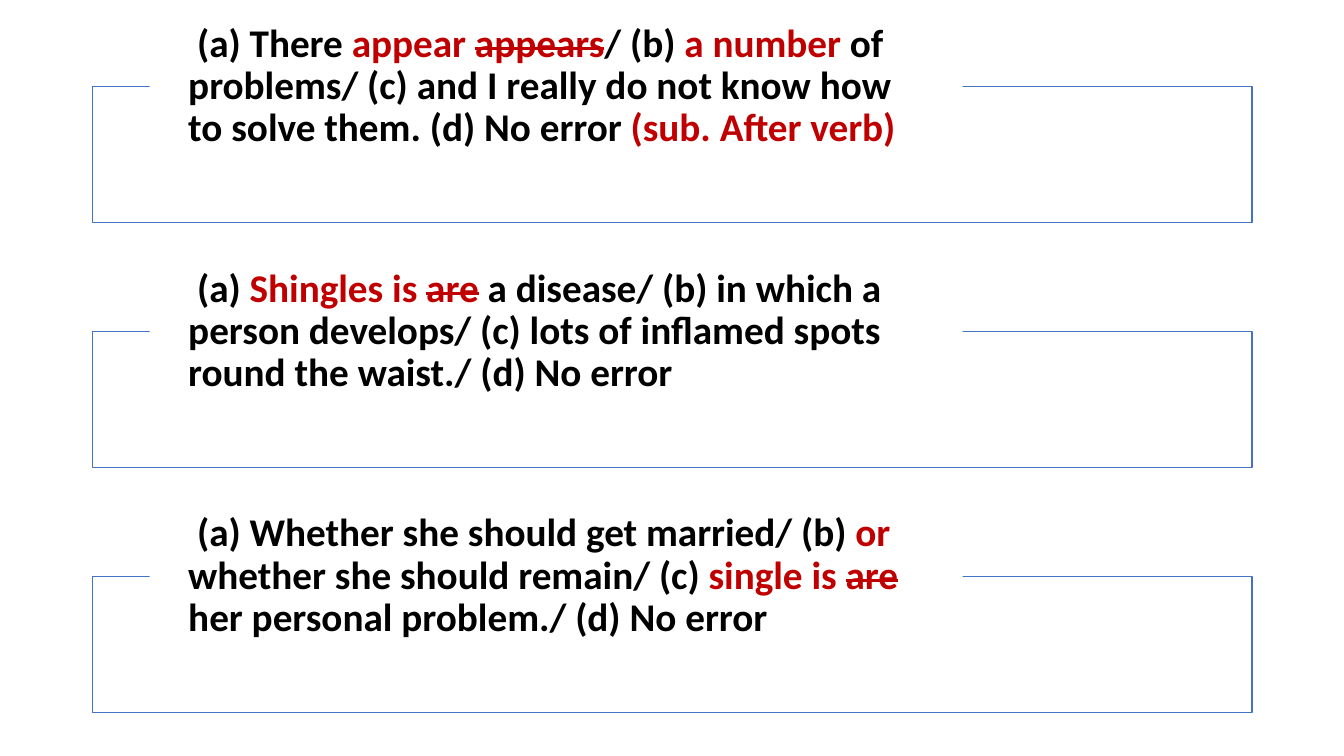
from lxml import etree
from pptx import Presentation
from pptx.dml.color import RGBColor
from pptx.enum.shapes import MSO_SHAPE as SHAPE
from pptx.enum.text import MSO_ANCHOR as ANCHOR, PP_ALIGN as ALIGN
from pptx.oxml.ns import qn
from pptx.util import Inches, Pt

BLACK, RED, WHITE, BLUE = "000000", "C00000", "FFFFFF", "4472C4"
FIRST_TOP, PITCH = 0.07, 2.43

# Each question is a list of (text, colour, struck out)
questions = [
    [
        (" (a) There ", BLACK, False),
        ("appear ", RED, False),
        ("appears", RED, True),
        ("/ (b) ", BLACK, False),
        ("a number ", RED, False),
        ("of problems/ (c) and I really do not know how to solve them. (d) No error ", BLACK, False),
        ("(sub. After verb)", RED, False),
    ],
    [
        (" (a) ", BLACK, False),
        ("Shingles is ", RED, False),
        ("are", RED, True),
        (" a disease/ (b) in which a person develops/ (c) lots of inflamed spots "
         "round the waist./ (d) No error", BLACK, False),
    ],
    [
        (" (a) Whether she should get married/ (b) ", BLACK, False),
        ("or", RED, False),
        (" whether she should remain/ (c) ", BLACK, False),
        ("single is ", RED, False),
        ("are", RED, True),
        (" her personal problem./ (d) No error", BLACK, False),
    ],
]


def rgb(colour):
    return RGBColor.from_string(colour)


def add_box(kind, left, top, width, height, line_colour):
    """Add a white box with a one-point outline."""
    shape = slide.shapes.add_shape(kind, Inches(left), Inches(top), Inches(width), Inches(height))
    shape.shadow.inherit = False
    shape.fill.solid()
    shape.fill.fore_color.rgb = rgb(WHITE)
    shape.line.color.rgb = rgb(line_colour)
    shape.line.width = Pt(1)
    return shape


presentation = Presentation()
presentation.slide_width = Inches(13.33)
presentation.slide_height = Inches(7.5)
slide = presentation.slides.add_slide(presentation.slide_layouts[6])

for index, question in enumerate(questions):
    top = FIRST_TOP + index * PITCH

    frame = add_box(SHAPE.RECTANGLE, 0.92, top + 0.79, 11.5, 1.35, BLUE)
    fill_colour = frame.fill._xPr.find(qn("a:solidFill"))[0]
    etree.SubElement(fill_colour, qn("a:alpha"), val="90000")

    label = add_box(SHAPE.ROUNDED_RECTANGLE, 1.49, top, 8.05, 1.58, WHITE)
    text_frame = label.text_frame
    text_frame.word_wrap = True
    text_frame.vertical_anchor = ANCHOR.MIDDLE
    text_frame.margin_left = text_frame.margin_right = Inches(0.3)
    text_frame.margin_top = text_frame.margin_bottom = 0

    paragraph = text_frame.paragraphs[0]
    paragraph.alignment = ALIGN.LEFT
    paragraph.line_spacing = 0.9
    paragraph.font.name = "Calibri"
    paragraph.font.size = Pt(28)
    paragraph.font.bold = True
    for text, colour, struck in question:
        run = paragraph.add_run()
        run.text = text
        run.font.color.rgb = rgb(colour)
        if struck:
            run.font._element.set("strike", "sngStrike")

presentation.save("out.pptx")
